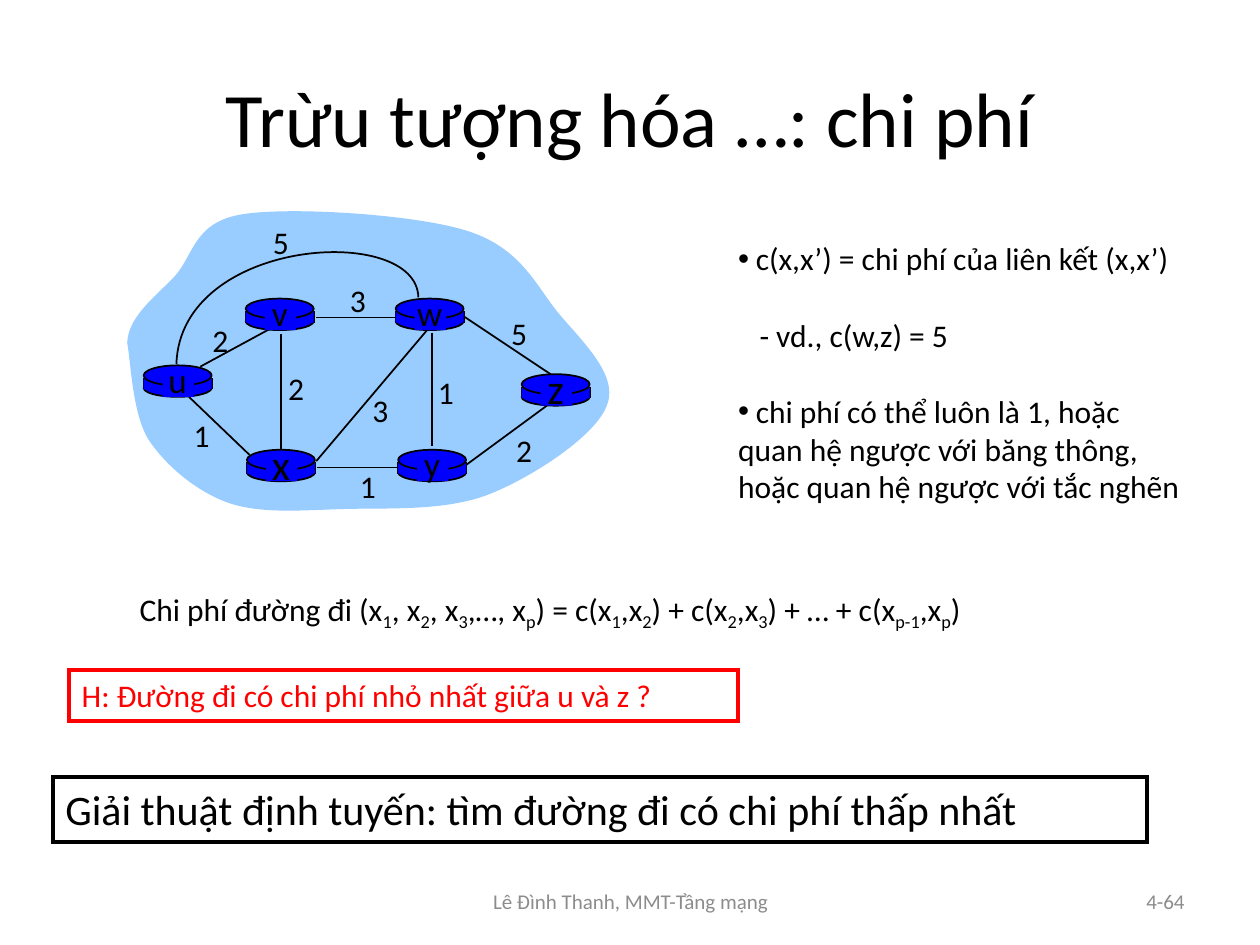
from lxml.etree import SubElement
from pptx import Presentation
from pptx.dml.color import RGBColor
from pptx.enum.shapes import MSO_CONNECTOR as CONNECTOR, MSO_SHAPE as SHAPE
from pptx.enum.text import MSO_ANCHOR as ANCHOR, PP_ALIGN as ALIGN
from pptx.oxml.ns import qn
from pptx.util import Inches, Pt

FONT = "Calibri"
COLORS = {"black": "000000", "gray": "8C8C8C", "cloud": "99CCFF",
          "router": "0000FF", "question": "FF0000"}

TITLE = "Trừu tượng hóa …: chi phí"
FOOTERS = [
    ("Lê Đình Thanh, MMT-Tầng mạng", (3.42, 6.95, 3.17, 0.4), ALIGN.CENTER),
    ("4-64", (7.17, 6.95, 2.33, 0.4), ALIGN.RIGHT),
]
ROUTERS = [
    ("u", 1.14, 3.01, 20), ("x", 1.96, 3.68, 24), ("v", 1.95, 2.48, 20),
    ("w", 3.14, 2.48, 20), ("y", 3.16, 3.68, 20), ("z", 4.14, 3.08, 24),
]
LINKS = [
    ("2", (1.75, 2.7), (1.59, 2.91), (2.18, 2.59)),
    ("2", (2.35, 3.08), (2.23, 2.65), (2.23, 3.58)),
    ("1", (1.6, 3.45), (1.98, 3.61), (1.5, 3.15)),
    ("3", (3.02, 3.25), (2.51, 3.66), (3.39, 2.62)),
    ("1", (2.92, 3.86), (3.16, 3.71), (2.52, 3.71)),
    ("1", (3.54, 3.11), (3.43, 2.64), (3.43, 3.54)),
    ("2", (4.16, 3.57), (3.7, 3.69), (4.34, 3.22)),
    ("5", (4.12, 2.64), (4.37, 2.97), (3.68, 2.51)),
    ("3", (2.84, 2.38), (3.15, 2.52), (2.51, 2.52)),
]
ARC_COST = ("5", (2.23, 1.92))
ARC_START = (3.32, 2.36)
ARC = [(3.31, 1.77), (1.43, 1.88), (1.4, 2.89)]
CLOUD_START = (1.01, 2.72)
CLOUD = [
    (1.02, 2.51), (1.23, 2.36), (1.39, 2.19),
    (1.54, 2.02), (1.54, 1.76), (1.93, 1.7),
    (2.31, 1.64), (3.28, 1.7), (3.7, 1.83),
    (4.12, 1.96), (4.24, 2.24), (4.42, 2.47),
    (4.61, 2.7), (4.91, 2.97), (4.82, 3.21),
    (4.74, 3.45), (4.24, 3.78), (3.89, 3.92),
    (3.54, 4.06), (3.08, 4.03), (2.73, 4.04),
    (2.39, 4.05), (2.07, 4.08), (1.81, 3.99),
    (1.56, 3.9), (1.32, 3.7), (1.18, 3.49),
    (1.05, 3.28), (1.04, 2.88), CLOUD_START,
]
NOTES = [
    ("c(x,x’) = chi phí của liên kết (x,x’)", "bullet", 0),
    ("- vd., c(w,z) = 5", "example", 22),
    ("chi phí có thể luôn là 1, hoặc", "bullet", 22),
    ("quan hệ ngược với băng thông,", "plain", 0),
    ("hoặc quan hệ ngược với tắc nghẽn", "plain", 0),
]
NOTE_INDENTS = {"bullet": (0.14, -0.14), "example": (0.17, 0), "plain": (0, 0)}
PATH_COST = [
    ("Chi phí đường đi (x", "1"), (", x", "2"), (", x", "3"), (",…, x", "p"),
    (") = c(x", "1"), (",x", "2"), (") + c(x", "2"), (",x", "3"),
    (") + … + c(x", "p-1"), (",x", "p"), (")", ""),
]
BOXES = [
    ("H: Đường đi có chi phí nhỏ nhất giữa u và z ?", (0.55, 5.32, 5.31, 0.4), 18, "question"),
    ("Giải thuật định tuyến: tìm đường đi có chi phí thấp nhất", (0.42, 6.17, 8.68, 0.51), 24, "black"),
]

prs = Presentation()
prs.slide_width, prs.slide_height = Inches(10), Inches(7.5)
slide = prs.slides.add_slide(prs.slide_layouts[5])
shapes = slide.shapes


def rgb(color):
    return RGBColor.from_string(COLORS[color])


def inches(values):
    return [Inches(value) for value in values]


def add_run(paragraph, words, size, color="black"):
    run = paragraph.add_run()
    run.text = words
    run.font.name, run.font.size = FONT, Pt(size)
    run.font.color.rgb = rgb(color)
    return run


def add_box(place, anchor=ANCHOR.TOP):
    box = shapes.add_textbox(*inches(place))
    box.text_frame.word_wrap = True
    box.text_frame.vertical_anchor = anchor
    return box


def add_label(words, center, size):
    x, y = center
    frame = add_box((x - 0.18, y - 0.2, 0.36, 0.4), ANCHOR.MIDDLE).text_frame
    frame.margin_left = frame.margin_right = 0
    frame.margin_top = frame.margin_bottom = 0
    frame.paragraphs[0].alignment = ALIGN.CENTER
    add_run(frame.paragraphs[0], words, size)


def style(part, fill=None, outlined=False):
    part.shadow.inherit = False
    if fill:
        part.fill.solid()
        part.fill.fore_color.rgb = rgb(fill)
    else:
        part.fill.background()
    if outlined:
        part.line.color.rgb = rgb("black")
        part.line.width = Pt(1)
    else:
        part.line.fill.background()


def add_line(start, end):
    line = shapes.add_connector(CONNECTOR.STRAIGHT, *inches(start + end))
    line.line.color.rgb = rgb("black")
    line.line.width = Pt(1)
    SubElement(line._element.spPr, qn("a:effectLst"))


def add_curve(start, points, closed, **look):
    builder = shapes.build_freeform(*inches(start))
    builder.add_line_segments([inches(point) for point in points], close=closed)
    curve = builder.convert_to_shape()
    segments = list(curve._element.iter(qn("a:lnTo")))[:len(points)]
    for first in range(0, len(points), 3):
        bezier = segments[first].makeelement(qn("a:cubicBezTo"))
        segments[first].addprevious(bezier)
        for segment in segments[first:first + 3]:
            bezier.append(segment[0])
            segment.getparent().remove(segment)
    style(curve, **look)


def add_router(name, x, y, size):
    def part(kind, place, outlined=False):
        style(shapes.add_shape(kind, *inches(place)), "router", outlined)

    part(SHAPE.OVAL, (x, y, 0.54, 0.14), True)
    for side in (x, x + 0.54):
        add_line((side, y - 0.01), (side, y + 0.08))
    part(SHAPE.RECTANGLE, (x, y - 0.01, 0.54, 0.09))
    part(SHAPE.OVAL, (x, y - 0.11, 0.54, 0.16), True)
    part(SHAPE.RECTANGLE, (x + 0.15, y - 0.09, 0.25, 0.23))
    add_label(name, (x + 0.27, y), size)


title = shapes.title
title.left, title.top, title.width, title.height = inches((0.5, 0.3, 9, 1.25))
title.text_frame.vertical_anchor = ANCHOR.MIDDLE
title.text_frame.paragraphs[0].alignment = ALIGN.CENTER
add_run(title.text_frame.paragraphs[0], TITLE, 44)

for words, place, align in FOOTERS:
    footer = add_box(place, ANCHOR.MIDDLE).text_frame.paragraphs[0]
    footer.alignment = align
    add_run(footer, words, 12, "gray")

add_curve(CLOUD_START, CLOUD, True, fill="cloud")
add_curve(ARC_START, ARC, False, outlined=True)
for cost, center, start, end in LINKS:
    add_line(start, end)
for router in ROUTERS:
    add_router(*router)
for cost, center, *ends in LINKS + [ARC_COST]:
    add_label(cost, center, 18)

notes = add_box((5.76, 1.85, 4.23, 2.22)).text_frame
for index, (words, kind, gap) in enumerate(NOTES):
    note = notes.add_paragraph() if index else notes.paragraphs[0]
    margin, indent = NOTE_INDENTS[kind]
    props = note._p.get_or_add_pPr()
    props.set("marL", str(Inches(margin)))
    props.set("indent", str(Inches(indent)))
    if kind == "bullet":
        SubElement(props, qn("a:buFont")).set("typeface", "Arial")
        SubElement(props, qn("a:buChar")).set("char", "•")
    if gap:
        note.space_before = Pt(gap)
    add_run(note, words, 18)

formula = add_box((1.01, 4.63, 8.14, 0.4)).text_frame.paragraphs[0]
for words, subscript in PATH_COST:
    add_run(formula, words, 18)
    if subscript:
        add_run(formula, subscript, 18)._r.get_or_add_rPr().set("baseline", "-25000")

for words, place, size, color in BOXES:
    box = add_box(place)
    box.line.color.rgb = rgb(color)
    box.line.width = Pt(2.25)
    SubElement(box.line._get_or_add_ln(), qn("a:miter")).set("lim", "800000")
    add_run(box.text_frame.paragraphs[0], words, size, color)

prs.save("out.pptx")
